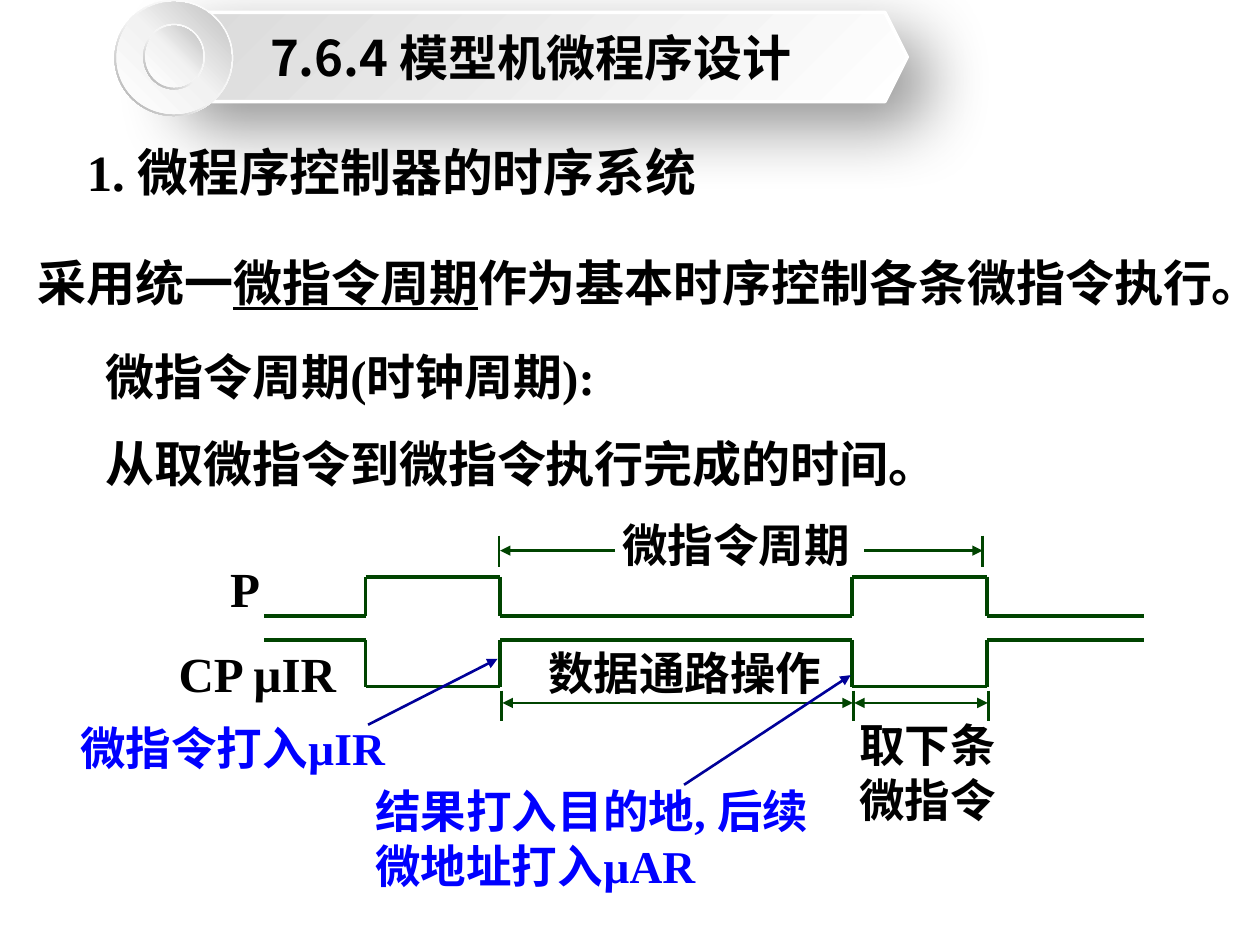
from dataclasses import dataclass
from itertools import pairwise

from lxml import etree
from pptx import Presentation
from pptx.dml.color import RGBColor
from pptx.enum.shapes import MSO_CONNECTOR, MSO_SHAPE
from pptx.enum.text import MSO_ANCHOR, PP_ALIGN
from pptx.oxml.ns import qn
from pptx.util import Cm, Pt

LINE = MSO_CONNECTOR.STRAIGHT
HEX, RING, DISC = MSO_SHAPE.HEXAGON, MSO_SHAPE.DONUT, MSO_SHAPE.OVAL
MIDDLE, CENTER = MSO_ANCHOR.MIDDLE, PP_ALIGN.CENTER


@dataclass(frozen=True)
class Theme:
    ink: str = "000000"
    note: str = "0000FF"
    wave: str = "004400"
    point: str = "000099"
    edge: str = "FFFFFF"
    bar: tuple = ((0, "FFFFFF"), (100, "D9D9D9"))
    rim: tuple = ((0, "FFFFFF"), (55, "F2F2F2"), (100, "A6A6A6"))
    face: tuple = ((0, "FFFFFF"), (51, "F2F2F2"), (100, "BFBFBF"))
    serif: str = "Times New Roman"
    sans: str = "Noto Sans CJK SC"
    head: int = 29
    body: int = 28
    label: int = 26
    thick: float = 2
    thin: float = 1.5


THEME = Theme()


def node(parent, tag, **attrs):
    child = etree.SubElement(parent, qn(tag))
    for key, value in attrs.items():
        child.set(key, str(value))
    return child


def style(run, size, color, face):
    font = run.font
    font.size, font.bold, font.name = Pt(size), True, face
    font.color.rgb = RGBColor.from_string(color)
    if face == THEME.sans:
        node(font.element if hasattr(font, "element") else run._r.get_or_add_rPr(),
             "a:ea", typeface=face)


def write(slide, box, parts, size, color=THEME.ink, face=THEME.serif):
    frame = slide.shapes.add_textbox(*map(Cm, box)).text_frame
    frame.word_wrap = True
    para = frame.paragraphs[0]
    for part in parts:
        run = para.add_run()
        run.text = part
        style(run, size, color, face)
    return para


def draw(slide, start, end, color, width, head=False, tail=False):
    link = slide.shapes.add_connector(LINE, *map(Cm, (*start, *end)))
    link.line.color.rgb = RGBColor.from_string(color)
    link.line.width = Pt(width)
    props = link.element.spPr
    line = props.find(qn("a:ln"))
    for tag, shown in (("a:headEnd", head), ("a:tailEnd", tail)):
        if shown:
            node(line, tag, type="triangle")
    node(props, "a:effectLst")


def shade(slide, kind, box, stops, angle):
    shape = slide.shapes.add_shape(kind, *map(Cm, box))
    shape.shadow.inherit = False
    shape.line.fill.background()
    shape.fill.gradient()
    shape.fill.gradient_angle = 360 - angle
    ramp = shape.element.spPr.find(qn("a:gradFill")).find(qn("a:gsLst"))
    for stop in list(ramp):
        ramp.remove(stop)
    for pos, color in stops:
        node(node(ramp, "a:gs", pos=pos * 1000), "a:srgbClr", val=color)
    return shape


def banner(slide, box, text):
    left, top, width, height = box
    bar_box = (left + 0.79, top + 0.25, width - 0.79, height - 0.54)
    bar = shade(slide, HEX, bar_box, THEME.bar, 225)
    bar.line.color.rgb = RGBColor.from_string(THEME.edge)
    bar.line.width = Pt(THEME.thick)
    glow = node(bar.element.spPr.find(qn("a:effectLst")), "a:outerShdw",
                blurRad=Pt(38), dist=Pt(19), dir=45 * 60000, algn="tl", rotWithShape=0)
    node(node(glow, "a:srgbClr", val=THEME.ink), "a:alpha", val=42000)
    for gap, wide, high in ((0, 2.39, 2.34), (0.58, 1.24, 1.32)):
        x, y = left + gap, top + (2.34 - high) / 2 - gap * 0.05
        ring = shade(slide, RING, (x, y, wide, high), THEME.rim, 135)
        ring.adjustments[0] = 0.05
        inset = 0.04
        shade(slide, DISC, (x + inset, y + inset, wide - 2 * inset, high - 2 * inset),
              THEME.face, 315)
    title = slide.shapes.title
    title.left, title.top, title.width, title.height = map(Cm, bar_box)
    frame = title.text_frame
    frame.text = text
    frame.vertical_anchor = MIDDLE
    para = frame.paragraphs[0]
    para.alignment = CENTER
    style(para.runs[0], THEME.body, THEME.ink, THEME.sans)
    title.element.getparent().append(title.element)


def prose(slide, box):
    left, top, width, _ = box
    rows = (
        (0.99, 0, 14.33, THEME.head, ["1. 微程序控制器的时序系统"]),
        (0, 2.18, width, THEME.body,
         ["采用统一", "微指令周期", "作为基本时序控制各条微指令执行。"]),
        (1.37, 4.14, 15.77, THEME.body, ["微指令周期(时钟周期):"]),
        (1.37, 5.89, 23.47, THEME.body, ["从取微指令到微指令执行完成的时间。"]),
    )
    for x, y, wide, size, parts in rows:
        para = write(slide, (left + x, top + y, wide, 1.47), parts, size)
        if len(parts) > 1:
            para.line_spacing = 1.05
            para.runs[1].font.underline = True


def timing(slide, box):
    left, top, _, _ = box

    def at(x, y):
        return left + x, top + y

    edges = (4.33, 6.37, 9.08, 16.18, 18.9, 22.06)
    for rest, pulse in ((2.42, 1.63), (2.9, 3.84)):
        dots = [at(edges[0], rest)]
        for i, (x, nxt) in enumerate(pairwise(edges)):
            level = pulse if i % 2 else rest
            if i:
                dots.append(at(x, level))
            dots.append(at(nxt, level))
        for start, end in pairwise(dots):
            draw(slide, start, end, THEME.wave, THEME.thick)

    ticks = [(x, 0.8) for x in (9.06, 18.81)] + [(x, 3.92) for x in (9.11, 16.2, 18.93)]
    for x, y in ticks:
        draw(slide, at(x, y), at(x, y + 0.62), THEME.wave, THEME.thin)

    spans = ((11.4, 9.08, 1.1, False), (16.42, 18.81, 1.1, False),
             (9.13, 16.19, 4.17, True), (16.22, 18.91, 4.17, True))
    for x, end, y, both in spans:
        draw(slide, at(x, y), at(end, y), THEME.wave, THEME.thin, both, True)

    labels = (
        (3.39, 1.13, 1.73, "P", THEME.body, THEME.ink, THEME.serif),
        (2.35, 2.85, 5.69, "CP µIR", THEME.body, THEME.ink, THEME.serif),
        (0.37, 4.4, 7.37, "微指令打入µIR", THEME.label, THEME.note, THEME.serif),
        (6.32, 5.67, 9.35, "结果打入目的地, 后续微地址打入µAR",
         THEME.label, THEME.note, THEME.serif),
        (11.29, 0.29, 6.1, "微指令周期", THEME.label, THEME.ink, THEME.sans),
        (9.8, 2.88, 6.6, "数据通路操作", THEME.label, THEME.ink, THEME.sans),
        (16.07, 4.33, 3.94, "取下条微指令", THEME.label, THEME.ink, THEME.sans),
    )
    for x, y, wide, text, size, color, face in labels:
        write(slide, (*at(x, y), wide, 1.35), [text], size, color, face)

    for start, end in (((6.42, 4.61), (9.03, 3.28)), ((12.79, 5.82), (16.15, 3.61))):
        draw(slide, at(*start), at(*end), THEME.point, THEME.thin, tail=True)


def main():
    deck = Presentation()
    deck.slide_width, deck.slide_height = Cm(25.4), Cm(19.05)
    slide = deck.slides.add_slide(deck.slide_layouts[5])
    prose(slide, (0.51, 2.72, 24.89, 7.36))
    timing(slide, (1, 10, 23, 8.2))
    banner(slide, (2.31, 0, 15.98, 2.34), "7.6.4 模型机微程序设计")
    deck.save("out.pptx")


if __name__ == "__main__":
    main()
